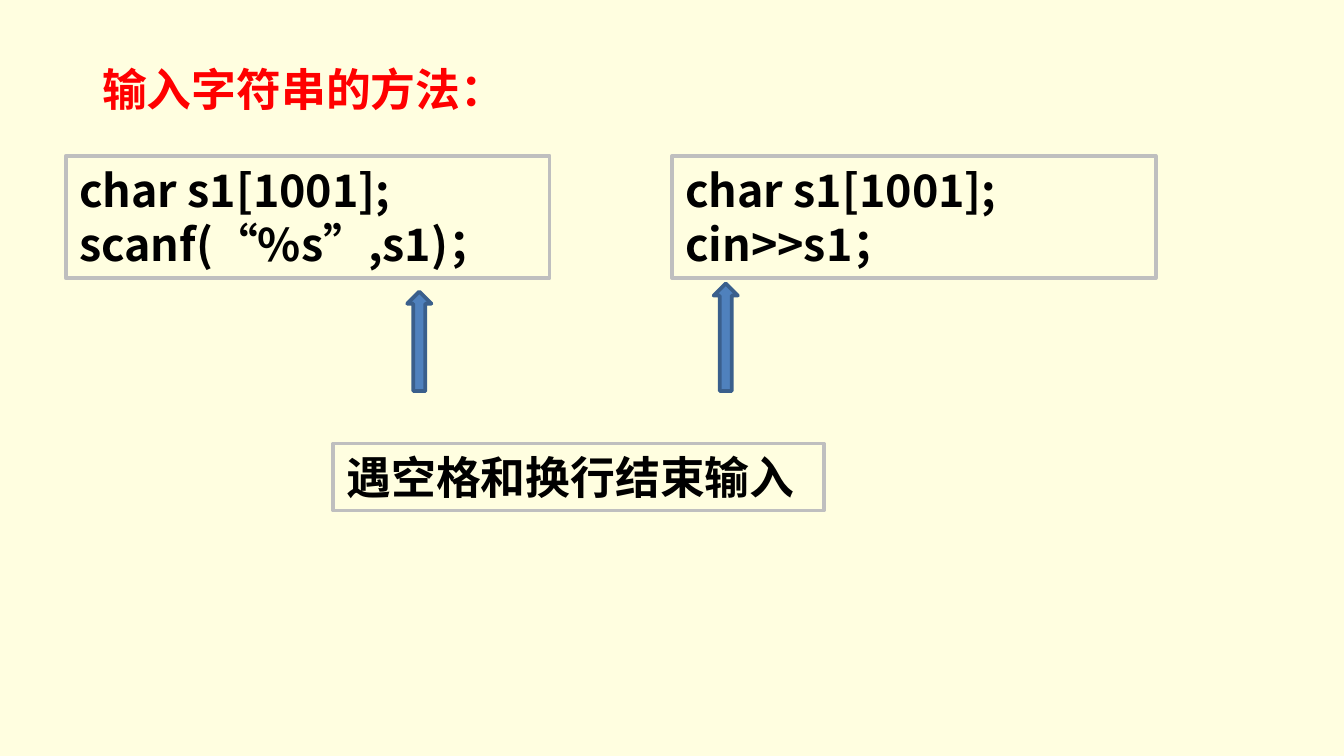
from dataclasses import dataclass

from lxml import etree
from pptx import Presentation
from pptx.dml.color import RGBColor
from pptx.enum.shapes import MSO_SHAPE
from pptx.enum.text import MSO_ANCHOR, MSO_AUTO_SIZE, PP_ALIGN
from pptx.oxml.ns import qn
from pptx.shapes.autoshape import Shape
from pptx.slide import Slide
from pptx.util import Inches, Pt

RECTANGLE = MSO_SHAPE.RECTANGLE
UP_ARROW = MSO_SHAPE.UP_ARROW
LEFT = PP_ALIGN.LEFT
TOP, MIDDLE = MSO_ANCHOR.TOP, MSO_ANCHOR.MIDDLE
GROW = MSO_AUTO_SIZE.SHAPE_TO_FIT_TEXT

FONT = "Noto Sans CJK SC"
COLORS = {
    "background": "FFFEE0",
    "title": "FF0000",
    "text": "000000",
    "border": "BFBFBF",
    "arrow": "4F81BD",
    "arrow_edge": "3A5F8C",
}


@dataclass
class TextBlock:
    left: float
    top: float
    width: float
    height: float
    lines: list[str]
    anchor: MSO_ANCHOR = TOP


@dataclass
class Arrow:
    left: float
    top: float
    width: float = 0.18
    bottom: float = 2.91


TITLE = TextBlock(0.66, 0.41, 3.25, 0.5, ["输入字符串的方法："])
BLOCKS = [
    TextBlock(0.49, 1.16, 3.6, 0.91, ["char s1[1001];", "scanf(“%s”,s1)；"]),
    TextBlock(5, 1.16, 3.6, 0.91, ["char s1[1001];", "cin>>s1；"]),
    TextBlock(2.48, 3.3, 3.65, 0.5, ["遇空格和换行结束输入"], MIDDLE),
]
ARROWS = [Arrow(3.03, 2.17), Arrow(5.31, 2.11)]


def color(name: str) -> RGBColor:
    """Look up a named colour."""
    return RGBColor.from_string(COLORS[name])


def write_lines(box: Shape, block: TextBlock, color_name: str, wrap: bool) -> None:
    """Fill a shape with bold, left-aligned lines."""
    frame = box.text_frame
    frame.text = "\n".join(block.lines)
    frame.word_wrap = wrap
    frame.auto_size = GROW
    frame.vertical_anchor = block.anchor
    for para in frame.paragraphs:
        para.alignment = LEFT
        font = para.font
        font.size = Pt(24)
        font.bold = True
        font.color.rgb = color(color_name)
        font.name = FONT
        east_asian = etree.SubElement(font._element, qn("a:ea"))
        east_asian.set("typeface", FONT)


def set_outline(shape: Shape, color_name: str) -> None:
    """Give a shape a two-point outline and no shadow."""
    shape.shadow.inherit = False
    shape.line.color.rgb = color(color_name)
    shape.line.width = Pt(2)


def draw_title(page: Slide, block: TextBlock) -> None:
    """Place and fill the title placeholder."""
    title = page.shapes.title
    title.left, title.top = Inches(block.left), Inches(block.top)
    title.width, title.height = Inches(block.width), Inches(block.height)
    write_lines(title, block, "title", False)


def draw_block(page: Slide, block: TextBlock) -> None:
    """Draw an outlined text rectangle."""
    box = page.shapes.add_shape(
        RECTANGLE, Inches(block.left), Inches(block.top),
        Inches(block.width), Inches(block.height))
    box.fill.background()
    set_outline(box, "border")
    write_lines(box, block, "text", True)


def draw_arrow(page: Slide, arrow: Arrow) -> None:
    """Draw an upward block arrow."""
    shape = page.shapes.add_shape(
        UP_ARROW, Inches(arrow.left), Inches(arrow.top),
        Inches(arrow.width), Inches(arrow.bottom - arrow.top))
    shape.fill.solid()
    shape.fill.fore_color.rgb = color("arrow")
    set_outline(shape, "arrow_edge")


def main() -> None:
    """Build and save the slide."""
    deck = Presentation()
    deck.slide_width = Inches(10)
    deck.slide_height = deck.slide_width * 9 // 16
    page = deck.slides.add_slide(deck.slide_layouts.get_by_name("Title Only"))
    page.background.fill.solid()
    page.background.fill.fore_color.rgb = color("background")
    draw_title(page, TITLE)
    for block in BLOCKS:
        draw_block(page, block)
    for arrow in ARROWS:
        draw_arrow(page, arrow)
    deck.save("out.pptx")


if __name__ == "__main__":
    main()
